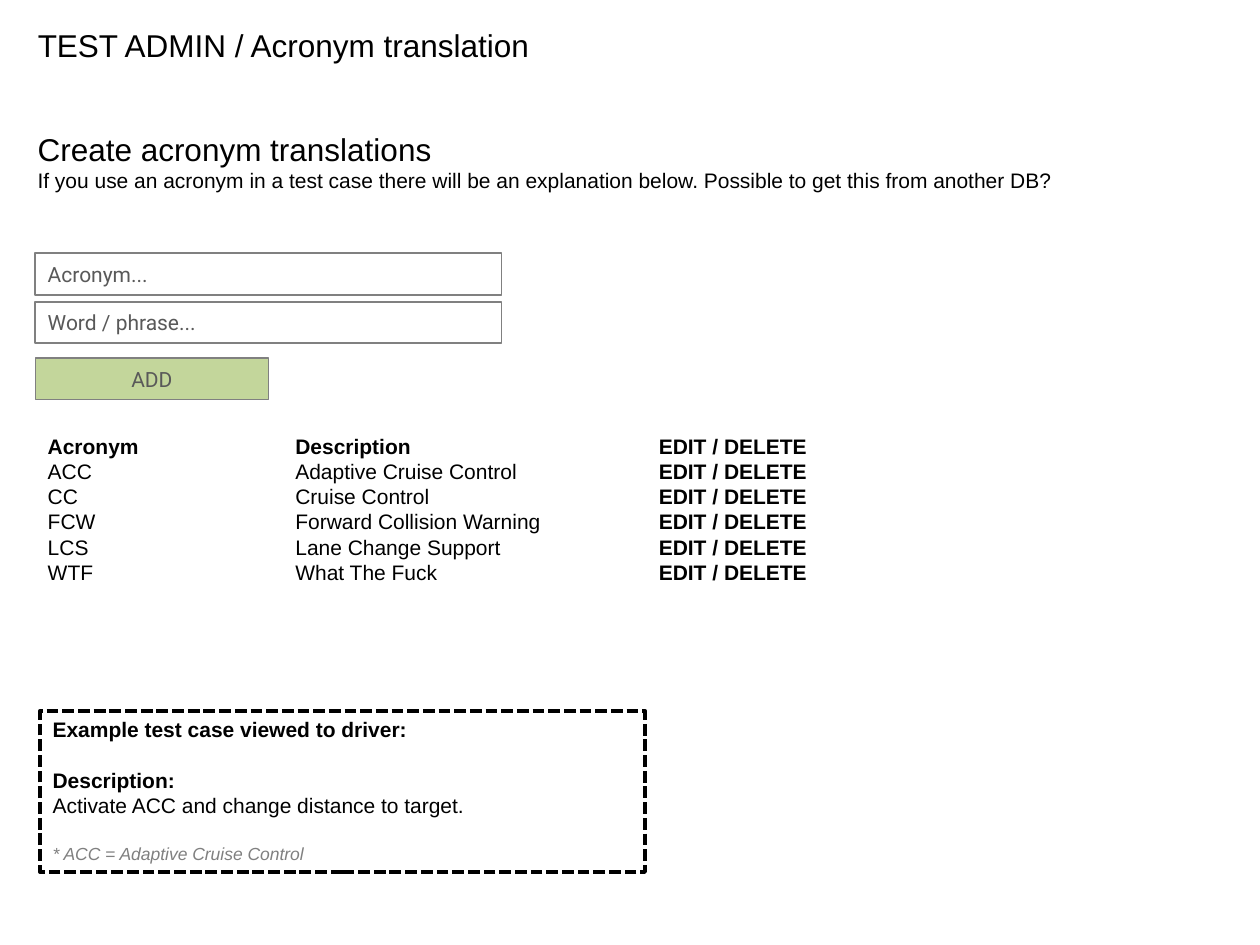
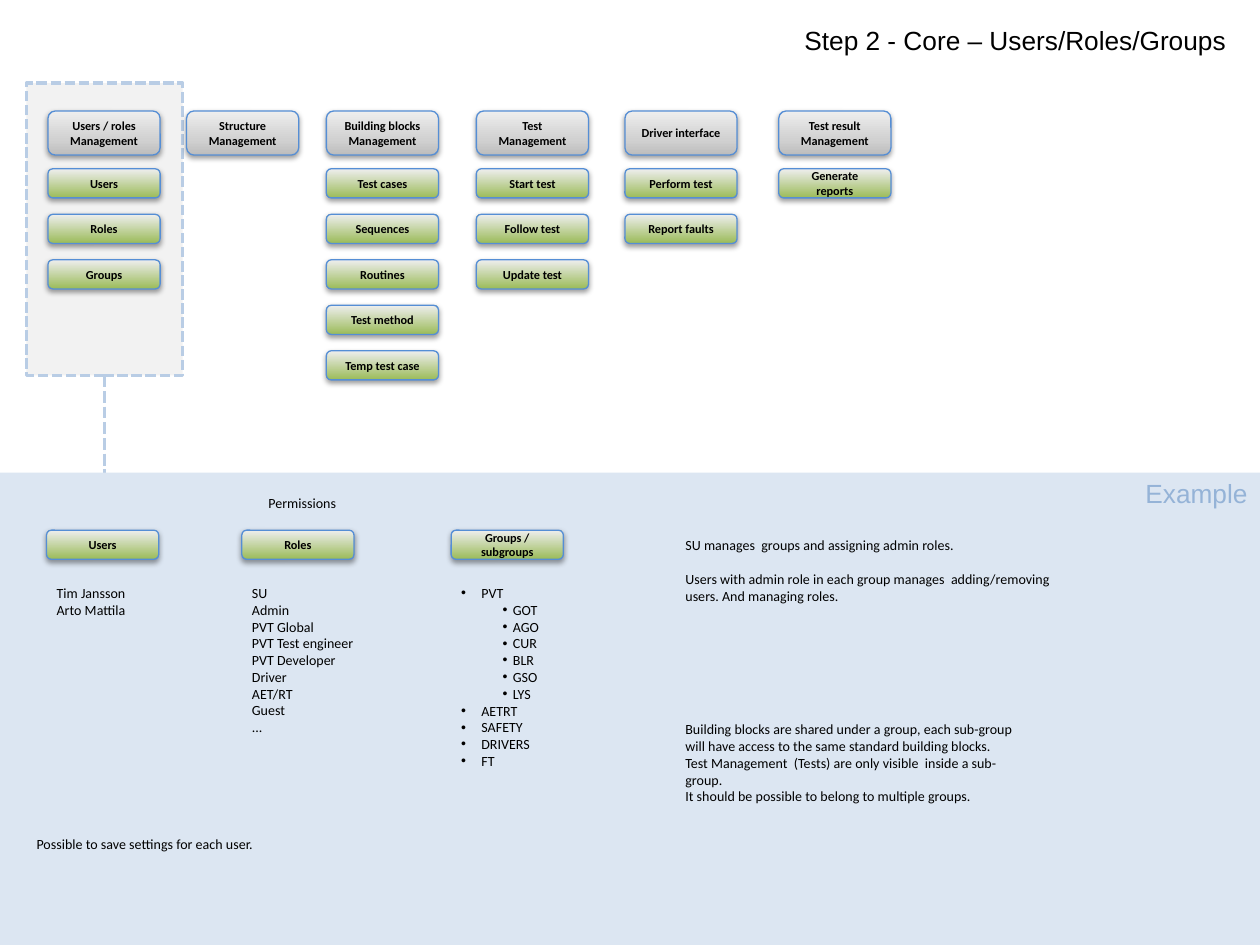
from copy import deepcopy

from lxml import etree
from pptx import Presentation
from pptx.dml import color
from pptx.enum import dml, shapes, text
from pptx.oxml import ns
from pptx.util import Pt

BLACK, WHITE, GREY, INK = "000000", "FFFFFF", "808080", "595959"
PALE, BAND, RIM, DASH, SOFT = "F2F2F2", "DCE6F2", "558ED5", "B9CDE5", "95B3D7"
GREEN = [(0, "9BBB59"), (1, "EEEEEE")]
SILVER = [(0, "BDBDBD"), (0.35, "D1D1D1"), (1, "EEEEEE")]
LEFT, MID, RIGHT = text.PP_ALIGN.LEFT, text.PP_ALIGN.CENTER, text.PP_ALIGN.RIGHT
SLIM = (5.76, 2.88)
COLS = [27.4, 106.6, 186.5, 272.2, 357.1, 445]
TREE = [
    ("Users / roles\nManagement", ["Users", "Roles", "Groups"]),
    ("Structure\nManagement", []),
    ("Building blocks\nManagement",
     ["Test cases", "Sequences", "Routines", "Test method", "Temp test case"]),
    ("Test\nManagement", ["Start test", "Follow test", "Update test"]),
    ("Driver interface", ["Perform test", "Report faults"]),
    ("Test result\nManagement", ["Generate reports"]),
]
TERMS = [
    ("ACC", "Adaptive Cruise Control"),
    ("CC", "Cruise Control"),
    ("FCW", "Forward Collision Warning"),
    ("LCS", "Lane Change Support"),
    ("WTF", "What The Fuck"),
]


def hue(code):
    """Turn a hex string into a colour."""
    return color.RGBColor.from_string(code)


def pts(*nums):
    """Turn numbers into lengths in points."""
    return [Pt(num) for num in nums]


def sub(node, tag, **attrs):
    """Add a drawing element with attributes to a node."""
    kid = etree.SubElement(node, ns.qn("a:" + tag))
    for key, val in attrs.items():
        kid.set(key, str(val))
    return kid


def mark(para, bullet=None, tab=None):
    """Give a paragraph a bullet as (left, hang) or a tab stop."""
    props = para._p.get_or_add_pPr()
    if bullet:
        left, hang = bullet
        props.set("marL", str(Pt(left)))
        props.set("indent", str(Pt(-hang)))
        sub(props, "buFont", typeface="Arial")
        sub(props, "buChar", char="•")
    if tab:
        sub(sub(props, "tabLst"), "tab", pos=Pt(tab), algn="l")


def write(shape, lines, inset=(7.2, 3.6), wrap=True, anchor="TOP", **base):
    """Fill a shape with lines, each a string or a (string, format) pair."""
    frame = shape.text_frame
    frame.auto_size = text.MSO_AUTO_SIZE.NONE
    frame.word_wrap = wrap
    frame.vertical_anchor = text.MSO_ANCHOR[anchor]
    frame.margin_left = frame.margin_right = Pt(inset[0])
    frame.margin_top = frame.margin_bottom = Pt(inset[1])
    for i, line in enumerate(lines):
        words, own = (line, {}) if isinstance(line, str) else line
        fmt = {**base, **own}
        para = frame.add_paragraph() if i else frame.paragraphs[0]
        para.level = fmt.get("level", 0)
        mark(para, fmt.get("bullet"), fmt.get("tab"))
        para.alignment = fmt.get("align", LEFT)
        para.space_before = Pt(fmt.get("gap", 0))
        run = para.add_run()
        run.text = words
        font = run.font
        font.name, font.size = fmt.get("face", "Arial"), Pt(fmt.get("size", 12))
        font.bold, font.italic = fmt.get("bold", False), fmt.get("slant", False)
        font.color.rgb = hue(fmt.get("ink", BLACK))


def label(slide, box, lines, **fmt):
    """Add a text box."""
    write(slide.shapes.add_textbox(*pts(*box)), lines, **fmt)


def note(slide, box, lines, **fmt):
    """Add a text box in the small text style."""
    label(slide, box, lines, inset=SLIM, face="Calibri", size=8, **fmt)


def hold(spot, box, lines, **fmt):
    """Move a placeholder to a box and fill it."""
    spot.left, spot.top, spot.width, spot.height = pts(*box)
    write(spot, lines, **fmt)


def edge(line, code, width, dash=False):
    """Style an outline or a connector."""
    line.color.rgb, line.width = hue(code), Pt(width)
    if dash:
        line.dash_style = dml.MSO_LINE.SQUARE_DOT


def block(slide, box, fill=None, rim=None, width=1, dash=False, kind="RECTANGLE"):
    """Add a preset shape without a shadow."""
    shape = slide.shapes.add_shape(shapes.MSO_SHAPE[kind], *pts(*box))
    shape.shadow.inherit = False
    if fill:
        shape.fill.solid()
        shape.fill.fore_color.rgb = hue(fill)
    else:
        shape.fill.background()
    if rim:
        edge(shape.line, rim, width, dash)
    else:
        shape.line.fill.background()
    return shape


def blend(shape, stops):
    """Fill a shape with a gradient that starts at its foot."""
    shape.fill.gradient()
    shape.fill.gradient_angle = 90
    group = shape._element.spPr.find(".//" + ns.qn("a:gsLst"))
    for _ in stops[2:]:
        group.append(deepcopy(group[-1]))
    for stop, (place, code) in zip(shape.fill.gradient_stops, stops):
        stop.position, stop.color.rgb = place, hue(code)


def button(slide, x, y, name, high=16.6, stops=GREEN):
    """Add a glossy button with a soft shadow."""
    shape = block(slide, (x, y, 64.1, high), WHITE, RIM, 0.75, kind="ROUNDED_RECTANGLE")
    blend(shape, stops)
    glow = shape._element.spPr.find(ns.qn("a:effectLst"))
    cast = sub(glow, "outerShdw", blurRad=Pt(3.1), dist=Pt(1.6),
               dir=5400000, rotWithShape=0)
    sub(sub(cast, "srgbClr", val=BLACK), "alpha", val=38000)
    write(shape, name.split("\n"), anchor="MIDDLE", align=MID,
          face="Calibri", size=7, bold=True)


def form(slide, box):
    """Place the two input fields and the add button."""
    x, y, w, h = box
    rows = [
        (0, w, WHITE, "Acronym...", LEFT),
        (27.7, w, WHITE, "Word / phrase...", LEFT),
        (59.8, w / 2, "C3D69B", "ADD", MID),
    ]
    for down, wide, fill, name, align in rows:
        field = block(slide, (x, y + down, wide, h), fill, GREY)
        write(field, [name], anchor="MIDDLE", align=align, face="Roboto", ink=INK)


def terms(slide, box):
    """Place the acronym list and its edit column."""
    x, y, w, h = box
    rows = [("Acronym\tDescription", {"bold": True})]
    rows += ["\t".join(pair) for pair in TERMS]
    label(slide, box, rows, tab=141.5)
    label(slide, (x + 349.2, y, w, h), ["EDIT / DELETE"] * len(rows), bold=True)


def sample(slide, box):
    """Place the dashed example of a test case."""
    write(block(slide, box, rim=BLACK, width=2.25, dash=True), [
        ("Example test case viewed to driver:", {"bold": True}),
        ("Description:", {"bold": True, "gap": 14.4}),
        "Activate ACC and change distance to target.",
        ("* ACC = Adaptive Cruise Control",
         {"size": 10, "slant": True, "ink": GREY, "gap": 14.4}),
    ])


def tree(slide, box):
    """Place the module columns, the marked zone and its link."""
    x, y, w, h = box
    zone = block(slide, (x + 15.1, y + 47.5, 89.3, 167), PALE, DASH, 2, True)
    for left, (head, kids) in zip(COLS, TREE):
        button(slide, x + left, y + 63.4, head, 25.2, SILVER)
        for i, kid in enumerate(kids):
            button(slide, x + left, y + 96.5 + 26 * i, kid)
    mid = x + 59.75
    link = slide.shapes.add_connector(
        shapes.MSO_CONNECTOR.STRAIGHT, *pts(mid, y + 214.5, mid, y + h))
    link.begin_connect(zone, 2)
    edge(link.line, DASH, 2.25, True)
    sub(link._element.spPr, "effectLst")


def groups(spot, box):
    """Fill the body placeholder with groups and subgroups."""
    top = {"bullet": (11.5, 11.5)}
    low = {"bullet": (29.5, 5.8), "level": 1}
    lines = [("PVT", top)]
    lines += [(name, low) for name in ("GOT", "AGO", "CUR", "BLR", "GSO", "LYS")]
    lines += [(name, top) for name in ("AETRT", "SAFETY", "DRIVERS", "FT")]
    hold(spot, box, lines, inset=SLIM, face="Calibri", size=8)


def panel(slide, box):
    """Place the example band with its lists and notes."""
    x, y, w, h = box
    block(slide, box, BAND)
    label(slide, (x + w - 73.4, y - 0.7, 73.4, 25.2), ["Example"],
          wrap=False, align=RIGHT, size=15, ink=SOFT)
    for left, name in [(26.6, "Users"), (138.2, "Roles"), (257.8, "Groups / subgroups")]:
        button(slide, x + left, y + 33, name)
    note(slide, (x + 147.6, y + 9.4, 51.1, 15.8), ["Permissions"], wrap=False)
    note(slide, (x + 26.6, y + 61.2, 51.8, 25.2),
         ["Tim Jansson", "Arto Mattila"], wrap=False)
    note(slide, (x + 138.2, y + 61.2, 71.3, 103),
         ["SU", "Admin", "PVT Global", "PVT Test engineer", "PVT Developer",
          "Driver", "AET/RT", "Guest", "..."], wrap=False)
    note(slide, (x + 385.9, y + 33.8, 223.9, 44.6), [
        "SU manages  groups and assigning admin roles.",
        ("Users with admin role in each group manages  adding/removing", {"gap": 9.6}),
        "users. And managing roles.",
    ], wrap=False)
    note(slide, (x + 385.9, y + 139, 203.8, 54.7), [
        "Building blocks are shared under a group, each sub-group will have access "
        "to the same standard building blocks.",
        "Test Management  (Tests) are only visible  inside a sub-group.",
        "It should be possible to belong to multiple groups.",
    ])
    note(slide, (x + 15.1, y + 204.5, 140.4, 15.8),
         ["Possible to save settings for each user."], wrap=False)
    body = slide.placeholders[1]
    slide.shapes._spTree.append(body._element)
    groups(body, (x + 257.8, y + 61.2, 115.9, 113))


def admin(deck):
    """Build the acronym page."""
    slide = deck.slides.add_slide(deck.slide_layouts[5])
    hold(slide.shapes.title, (14.4, 11.5, 339.8, 28.8),
         ["TEST ADMIN / Acronym translation"], size=18)
    label(slide, (14.4, 70.6, 686.2, 87.1), [
        ("Create acronym translations", {"size": 18}),
        "If you use an acronym in a test case there will be an explanation below. "
        "Possible to get this from another DB?",
    ])
    form(slide, (20.2, 144.7, 266.4, 23.8))
    terms(slide, (20.2, 244.1, 345.6, 94.3))
    sample(slide, (23, 406.1, 345.6, 92.2))


def core(deck):
    """Build the users, roles and groups page."""
    slide = deck.slides.add_slide(deck.slide_layouts[1])
    hold(slide.shapes.title, (450, 10.1, 257.8, 25.2),
         ["Step 2 - Core – Users/Roles/Groups"], wrap=False, align=RIGHT, size=15)
    tree(slide, (0, 0, 720, 270))
    panel(slide, (0, 270, 720, 270))


def main():
    """Build and save the deck."""
    deck = Presentation()
    deck.slide_width, deck.slide_height = pts(720, 540)
    admin(deck)
    core(deck)
    deck.save("out.pptx")


if __name__ == "__main__":
    main()
